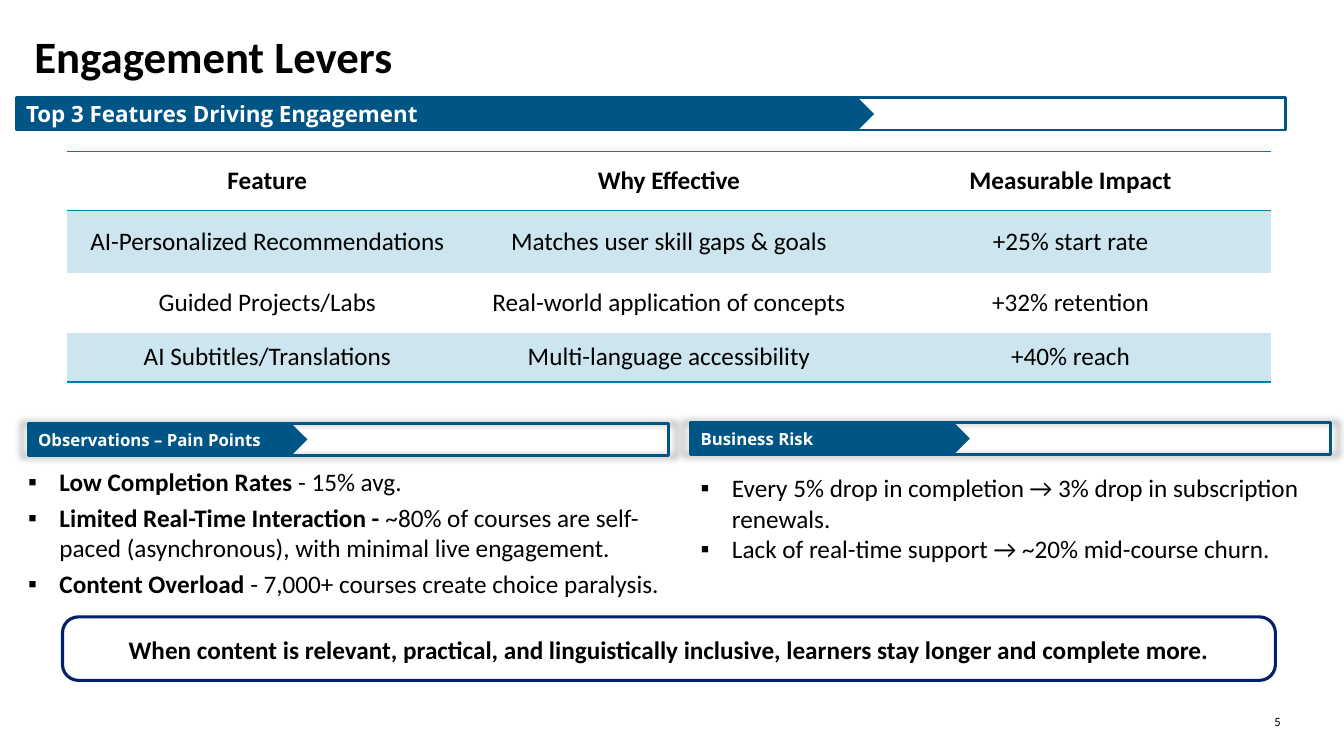
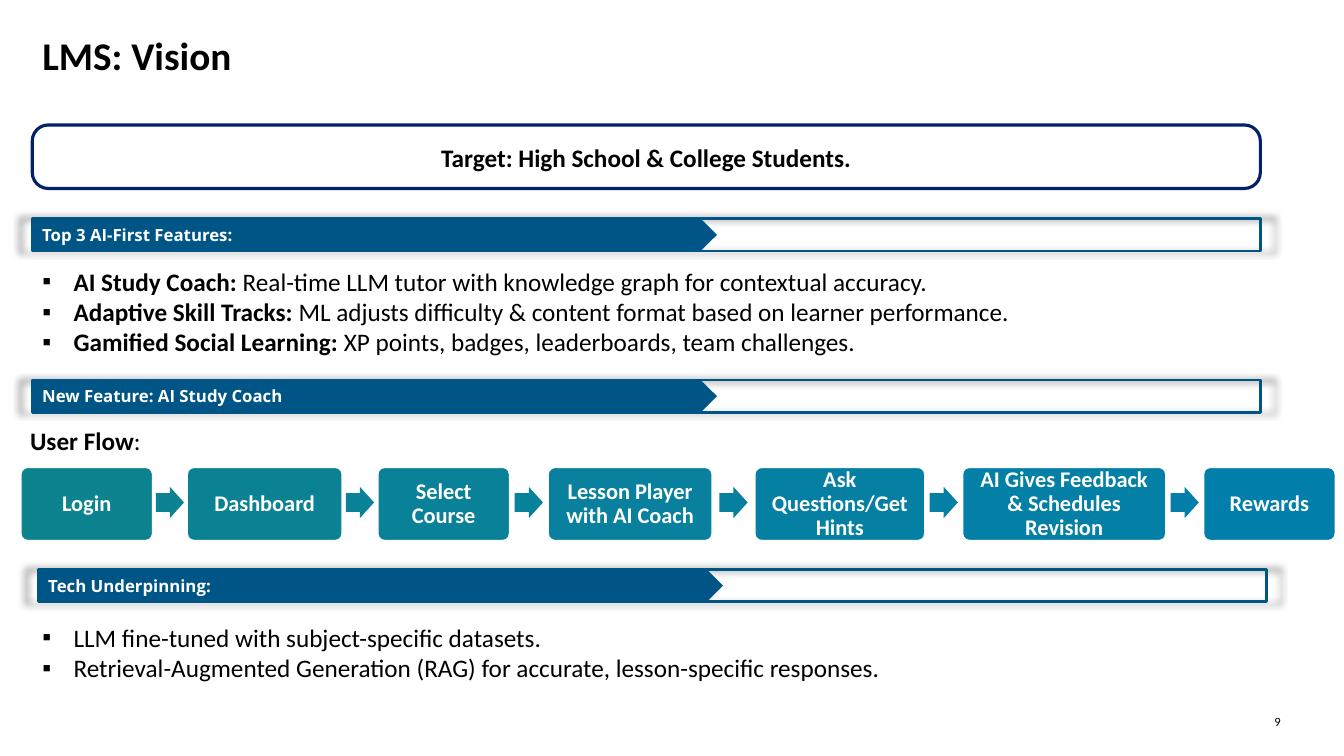
from dataclasses import dataclass

from lxml import etree
from pptx import Presentation
from pptx.dml.color import RGBColor
from pptx.enum.shapes import MSO_SHAPE
from pptx.enum.text import MSO_ANCHOR, MSO_AUTO_SIZE, PP_ALIGN
from pptx.oxml import parse_xml
from pptx.oxml.ns import nsdecls, qn
from pptx.util import Inches, Pt

RECTANGLE, ROUNDED = MSO_SHAPE.RECTANGLE, MSO_SHAPE.ROUNDED_RECTANGLE
PENTAGON, ARROW = MSO_SHAPE.PENTAGON, MSO_SHAPE.RIGHT_ARROW
TOP, MIDDLE = MSO_ANCHOR.TOP, MSO_ANCHOR.MIDDLE
LEFT, CENTER = PP_ALIGN.LEFT, PP_ALIGN.CENTER
NO_AUTOFIT = MSO_AUTO_SIZE.NONE
TWO_CONTENT_LAYOUT = 3
NO_GRID_STYLE = "{2D5ABB26-0587-4C30-8999-92F81FD0307C}"


@dataclass(frozen=True)
class Theme:
    text: str = "000000"
    white: str = "FFFFFF"
    band: str = "005587"
    outline: str = "012169"
    rule: str = "007CB0"
    stripe: str = "CCE5EF"
    flow_start: str = "0D8390"
    flow_end: str = "027EAB"
    body_font: str = "Calibri"
    band_font: str = "Open Sans"
    body_size: int = 18
    flow_size: int = 16
    number_size: int = 9


THEME = Theme()

PAGES = [
    {
        "number": "5",
        "title": ("Engagement Levers", 0.34, 0.28, 32),
        "callout": (
            "When content is relevant, practical, and linguistically inclusive, "
            "learners stay longer and complete more.", 0.62, 6.12, 12.03),
        # text, left, top, width, label width, type size, shadow
        "bands": [
            ("Top 3 Features Driving Engagement", 0.16, 0.97, 12.59, 8.51, 16, False),
            ("Observations – Pain Points", 0.28, 4.2, 6.35, 2.77, 12, True),
            ("Business Risk", 6.85, 4.19, 6.35, 2.77, 12, True),
        ],
        # left, top, width, height, space after, (bold text, plain text) items
        "lists": [
            (0.18, 4.58, 6.66, 1.42, 4, [
                ("Low Completion Rates", " - 15% avg."),
                ("Limited Real-Time Interaction - ",
                 "~80% of courses are self-paced (asynchronous), with minimal live engagement."),
                ("Content Overload", " - 7,000+ courses create choice paralysis."),
            ]),
            (6.85, 4.64, 6.48, 1.01, 0, [
                ("", "Every 5% drop in completion → 3% drop in subscription renewals."),
                ("", "Lack of real-time support → ~20% mid-course churn."),
            ]),
        ],
    },
    {
        "number": "9",
        "title": ("LMS: Vision", 0.42, 0.31, 28),
        "callout": ("Target: High School & College Students.", 0.32, 1.24, 12.18),
        "bands": [
            ("Top 3 AI-First Features:", 0.32, 2.17, 12.18, 6.79, 12, True),
            ("New Feature: AI Study Coach", 0.32, 3.77, 12.18, 6.79, 12, True),
            ("Tech Underpinning:", 0.38, 5.65, 12.18, 6.79, 12, True),
        ],
        "lists": [
            (0.32, 2.59, 10.61, 1.01, 0, [
                ("AI Study Coach:",
                 " Real-time LLM tutor with knowledge graph for contextual accuracy."),
                ("Adaptive Skill Tracks:",
                 " ML adjusts difficulty & content format based on learner performance."),
                ("Gamified Social Learning:",
                 " XP points, badges, leaderboards, team challenges."),
            ]),
            (0.32, 6.12, 10.13, 0.71, 0, [
                ("", "LLM fine-tuned with subject-specific datasets."),
                ("", "Retrieval-Augmented Generation (RAG) for accurate, lesson-specific responses."),
            ]),
        ],
    },
]

FEATURE_ROWS = [
    ("Feature", "Why Effective", "Measurable Impact"),
    ("AI-Personalized Recommendations", "Matches user skill gaps & goals", "+25% start rate"),
    ("Guided Projects/Labs", "Real-world application of concepts", "+32% retention"),
    ("AI Subtitles/Translations", "Multi-language accessibility", "+40% reach"),
]
ROW_HEIGHTS = [0.59, 0.62, 0.59, 0.49]

# text, left, width
FLOW_STEPS = [
    ("Login", 0.2, 1.32),
    ("Dashboard", 1.85, 1.55),
    ("Select Course", 3.74, 1.32),
    ("Lesson Player with AI Coach", 5.43, 1.64),
    ("Ask Questions/Get Hints", 7.48, 1.7),
    ("AI Gives Feedback & Schedules Revision", 9.54, 2.03),
    ("Rewards", 11.93, 1.32),
]


def set_font(paragraph, size, color=THEME.text, bold=None, name=THEME.body_font):
    font = paragraph.font
    font.name, font.size, font.bold = name, Pt(size), bold
    font.color.rgb = RGBColor.from_string(color)


def add_block(shapes, kind, box, fill=None, line=None, line_width=2):
    """Add a preset shape without shadow; a missing fill or line is left empty."""
    shape = shapes.add_shape(kind, *map(Inches, box))
    shape.shadow.inherit = False
    if fill:
        shape.fill.solid()
        shape.fill.fore_color.rgb = RGBColor.from_string(fill)
    else:
        shape.fill.background()
    if line:
        shape.line.color.rgb = RGBColor.from_string(line)
        shape.line.width = Pt(line_width)
    else:
        shape.line.fill.background()
    shape.text_frame.vertical_anchor = MIDDLE
    return shape


presentation = Presentation()
presentation.slide_width, presentation.slide_height = Inches(13.33), Inches(7.5)
slides = []

# Shared parts of both slides
for page in PAGES:
    slide = presentation.slides.add_slide(
        presentation.slide_layouts[TWO_CONTENT_LAYOUT])
    slides.append(slide)

    text, left, top, size = page["title"]
    title = slide.shapes.title
    title.left, title.top = Inches(left), Inches(top)
    title.width, title.height = Inches(11.5), Inches(0.6)
    frame = title.text_frame
    frame.text = text
    frame.auto_size, frame.vertical_anchor = NO_AUTOFIT, TOP
    frame.margin_left = frame.margin_right = frame.margin_top = frame.margin_bottom = 0
    frame.paragraphs[0].alignment = LEFT
    set_font(frame.paragraphs[0], size, bold=True)

    number = slide.shapes.add_textbox(
        Inches(12.64), Inches(7.08), Inches(0.15), Inches(0.15))
    frame = number.text_frame
    frame.margin_left = frame.margin_right = frame.margin_top = frame.margin_bottom = 0
    frame.text = page["number"]
    set_font(frame.paragraphs[0], THEME.number_size)

    text, left, top, width = page["callout"]
    callout = add_block(slide.shapes, ROUNDED, (left, top, width, 0.63),
                        THEME.white, THEME.outline, 2.25)
    callout.adjustments[0] = 0.25
    paragraph = callout.text_frame.paragraphs[0]
    paragraph.text = text
    paragraph.alignment, paragraph.line_spacing = CENTER, 1.06
    set_font(paragraph, THEME.body_size, bold=True)

    for text, left, top, width, label_width, size, shadowed in page["bands"]:
        band = slide.shapes.add_group_shape()
        frame_box = add_block(band.shapes, RECTANGLE, (left, top, width, 0.32),
                              line=THEME.band)
        if shadowed:
            effects = frame_box._element.spPr.find(qn("a:effectLst"))
            effects.append(parse_xml(
                f'<a:outerShdw {nsdecls("a")} blurRad="63500" sx="102000" sy="102000" '
                'algn="ctr" rotWithShape="0"><a:prstClr val="black">'
                '<a:alpha val="40000"/></a:prstClr></a:outerShdw>'))
        label = add_block(band.shapes, PENTAGON, (left, top, label_width, 0.32),
                          THEME.band)
        paragraph = label.text_frame.paragraphs[0]
        paragraph.text = text
        paragraph.alignment = LEFT
        set_font(paragraph, size, THEME.white, True, THEME.band_font)

    bodies = [shape for shape in slide.placeholders if shape != title]
    for body, (left, top, width, height, space_after, items) in zip(bodies, page["lists"]):
        body.left, body.top = Inches(left), Inches(top)
        body.width, body.height = Inches(width), Inches(height)
        frame = body.text_frame
        frame.auto_size, frame.vertical_anchor = NO_AUTOFIT, TOP
        for index, (bold_text, plain_text) in enumerate(items):
            paragraph = frame.add_paragraph() if index else frame.paragraphs[0]
            paragraph.space_before, paragraph.space_after = Pt(0), Pt(space_after)
            properties = paragraph._p.get_or_add_pPr()
            properties.set("marL", str(Inches(0.31)))
            properties.set("indent", str(-Inches(0.31)))
            etree.SubElement(properties, qn("a:buFont"), typeface="Arial")
            etree.SubElement(properties, qn("a:buChar"), char="▪")
            set_font(paragraph, THEME.body_size)
            for text, bold in ((bold_text, True), (plain_text, False)):
                if text:
                    run = paragraph.add_run()
                    run.text, run.font.bold = text, bold

levers_slide, vision_slide = slides

# Feature table
table_frame = levers_slide.shapes.add_table(
    len(FEATURE_ROWS), 3, Inches(0.66), Inches(1.5), Inches(11.95), Inches(2.29))
table = table_frame.table
table.first_row = table.horz_banding = False
table._tbl.tblPr.find(qn("a:tableStyleId")).text = NO_GRID_STYLE
for row_index, (texts, height) in enumerate(zip(FEATURE_ROWS, ROW_HEIGHTS)):
    table.rows[row_index].height = Inches(height)
    is_header = row_index == 0
    borders = {0: ("a:lnT", "a:lnB"), len(FEATURE_ROWS) - 1: ("a:lnB",)}.get(row_index, ())
    for column_index, text in enumerate(texts):
        cell = table.cell(row_index, column_index)
        for border in borders:
            line = etree.SubElement(
                cell._tc.get_or_add_tcPr(), qn(border), w=str(Pt(1)))
            fill = etree.SubElement(line, qn("a:solidFill"))
            etree.SubElement(fill, qn("a:srgbClr"), val=THEME.rule)
        if row_index % 2:
            cell.fill.solid()
            cell.fill.fore_color.rgb = RGBColor.from_string(THEME.stripe)
        else:
            cell.fill.background()
        cell.vertical_anchor = MIDDLE
        paragraph = cell.text_frame.paragraphs[0]
        paragraph.text = text
        paragraph.alignment = CENTER
        set_font(paragraph, THEME.body_size, bold=is_header)

# User flow
flow_heading = vision_slide.shapes.add_textbox(
    Inches(0.2), Inches(4.17), Inches(6.66), Inches(0.4))
paragraph = flow_heading.text_frame.paragraphs[0]
set_font(paragraph, THEME.body_size)
for text, bold in (("User Flow", True), (":", False)):
    run = paragraph.add_run()
    run.text, run.font.bold = text, bold

start_color = RGBColor.from_string(THEME.flow_start)
end_color = RGBColor.from_string(THEME.flow_end)
blend_steps = 2 * len(FLOW_STEPS) - 2
blend = [
    str(RGBColor(*(round(first + (last - first) * step / blend_steps)
                   for first, last in zip(start_color, end_color))))
    for step in range(blend_steps + 1)
]
flow_shapes = vision_slide.shapes.add_group_shape().shapes
previous_right = None
for index, (text, left, width) in enumerate(FLOW_STEPS):
    if previous_right is not None:
        arrow_left = (previous_right + left - 0.28) / 2
        arrow = add_block(flow_shapes, ARROW, (arrow_left, 4.83, 0.28, 0.31),
                          blend[2 * index - 1])
        arrow.adjustments[0], arrow.adjustments[1] = 0.6, 0.5
    step_box = add_block(flow_shapes, ROUNDED, (left, 4.63, width, 0.74),
                         blend[2 * index], THEME.white)
    step_box.adjustments[0] = 0.1
    paragraph = step_box.text_frame.paragraphs[0]
    paragraph.text = text
    paragraph.alignment, paragraph.line_spacing = CENTER, 0.9
    set_font(paragraph, THEME.flow_size, THEME.white, True)
    previous_right = left + width

presentation.save("out.pptx")
